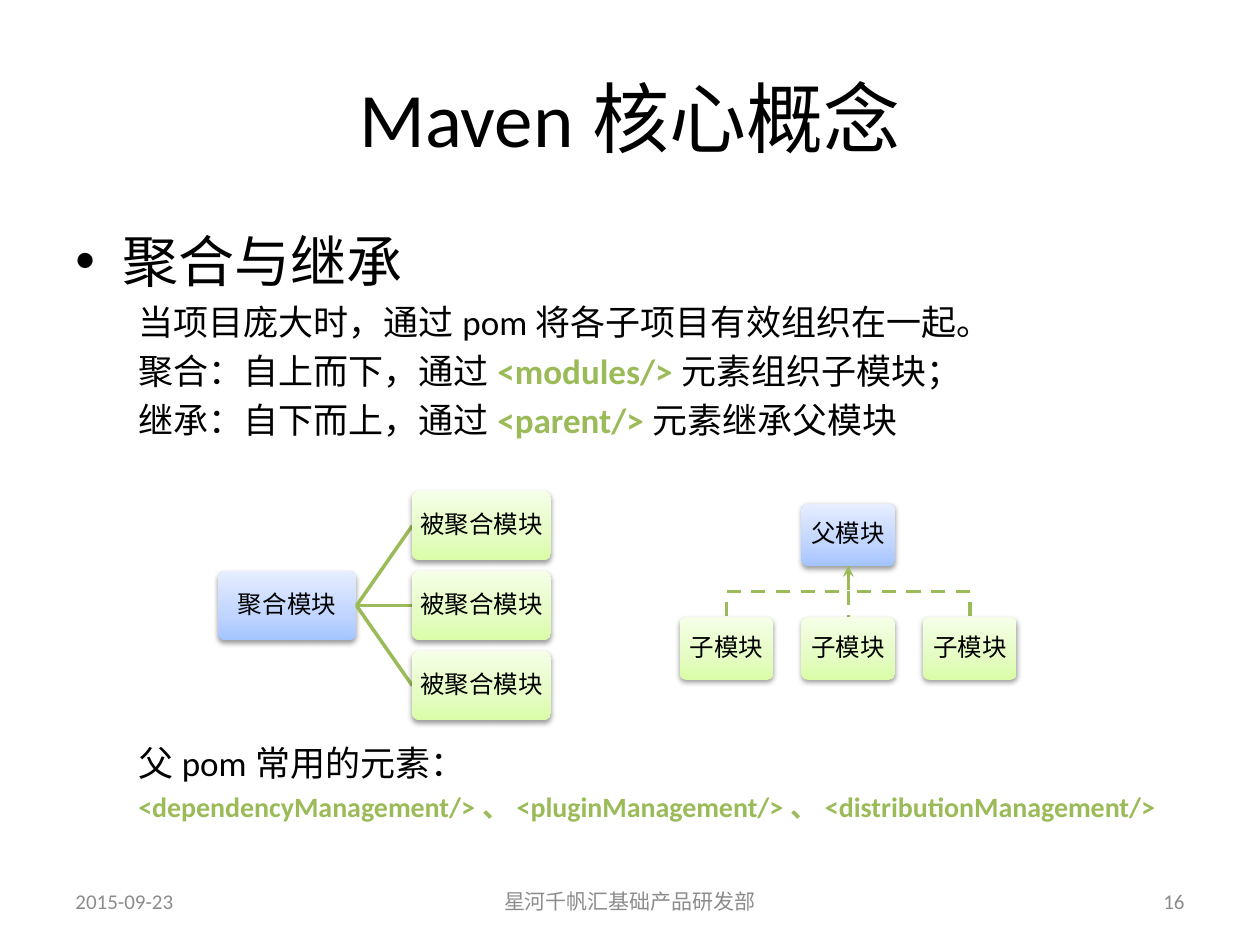
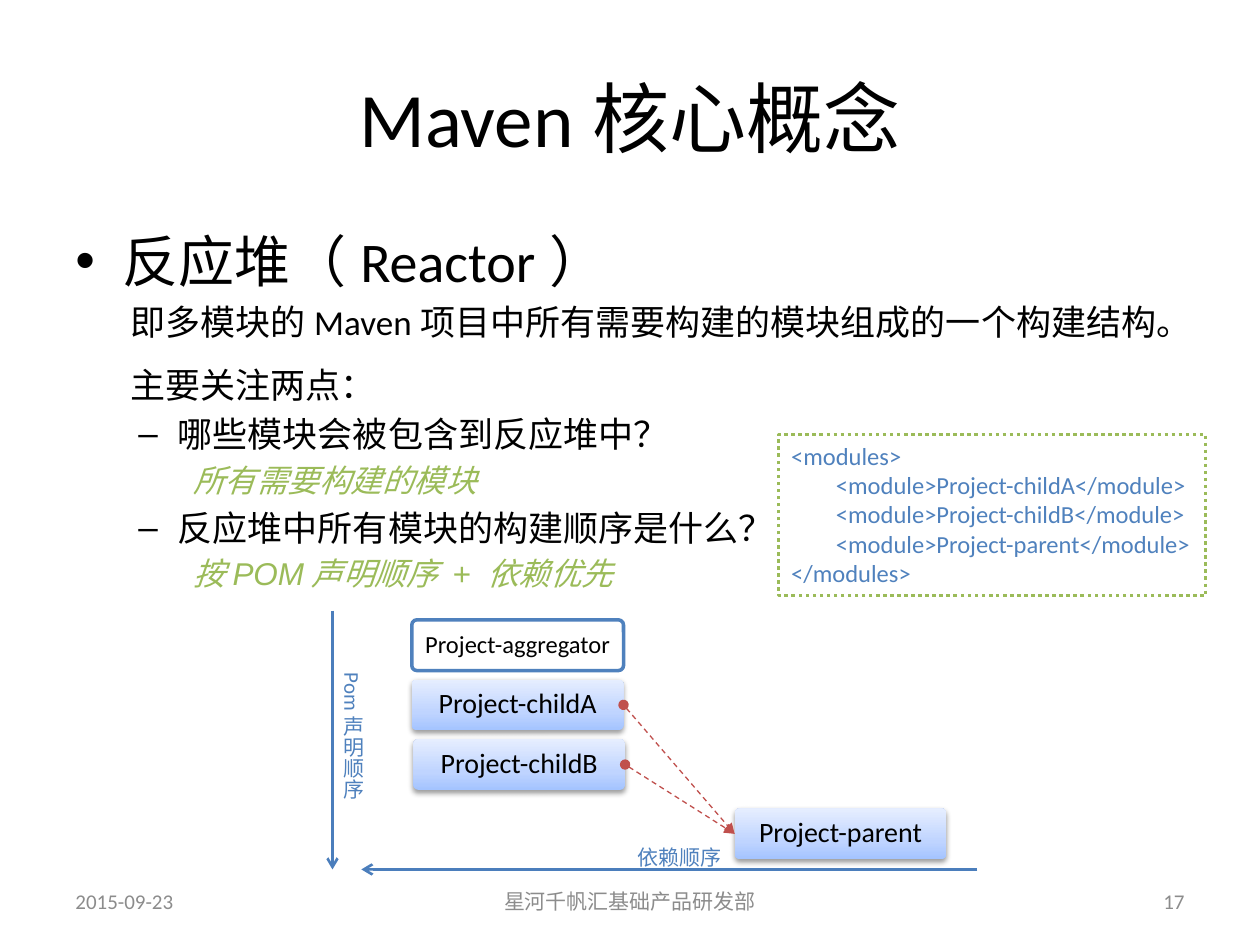
from lxml import etree
from pptx import Presentation
from pptx.dml.color import RGBColor
from pptx.enum.dml import MSO_LINE
from pptx.enum.shapes import MSO_CONNECTOR, MSO_SHAPE
from pptx.enum.text import MSO_ANCHOR, PP_ALIGN
from pptx.oxml.ns import qn
from pptx.util import Pt

LEFT, CENTER, RIGHT = PP_ALIGN.LEFT, PP_ALIGN.CENTER, PP_ALIGN.RIGHT
TOP, MIDDLE = MSO_ANCHOR.TOP, MSO_ANCHOR.MIDDLE
DASH, DOTS = MSO_LINE.DASH, MSO_LINE.ROUND_DOT
SYSTEM_DOTS = MSO_LINE.SQUARE_DOT
STRAIGHT = MSO_CONNECTOR.STRAIGHT
RECTANGLE, ROUNDED = MSO_SHAPE.RECTANGLE, MSO_SHAPE.ROUNDED_RECTANGLE

COLORS = {"text": "000000", "footer": "8C8C8C", "white": "FFFFFF", "green": "9BBB59",
          "blue": "4F81BD", "axis": "4B7EBC", "red": "C0504D"}
GRADIENTS = {"blue": ((0, "A4C4FF"), (35, "BFD4FF"), (100, "E6EEFF")),
             "green": ((0, "DAFDA7"), (35, "E4FCC2"), (100, "F5FFE7"))}

# Content: a paragraph is (spans, format); a span is (text, format).
TITLE = "Maven核心概念"
DATE, DEPARTMENT = "2015-09-23", "星河千帆汇基础产品研发部"
TAG = dict(color="green", bold=True)
HEADING = dict(size=32, margin=27, indent=-27, bullet="•")
DETAIL = dict(size=20, margin=36)
INTRO = dict(size=20, margin=31.5)
QUESTION = dict(size=20, margin=58.5, indent=-22.5, bullet="–", font="Arial")
ANSWER = dict(size=18, margin=67.5, color="green", italic=True, font="Arial")

INHERITANCE_TEXT = [
    ([("聚合与继承", {})], HEADING),
    ([("当项目庞大时，通过pom将各子项目有效组织在一起。", {})], DETAIL),
    ([("聚合：自上而下，通过", {}), ("<modules/>", TAG), ("元素组织子模块；", {})], DETAIL),
    ([("继承：自下而上，通过", {}), ("<parent/>", TAG), ("元素继承父模块", {})], DETAIL),
    ([("父pom常用的元素：", {})], dict(DETAIL, before=172)),
    ([("<dependencyManagement/>、<pluginManagement/>、<distributionManagement/>", TAG)],
     dict(DETAIL, size=16)),
]
REACTOR_TEXT = [
    ([("反应堆（Reactor）", {})], HEADING),
    ([("即多模块的Maven项目中所有需要构建的模块组成的一个构建结构。", {})], INTRO),
    ([("主要关注两点：", {})], dict(INTRO, before=12)),
    ([("哪些模块会被包含到反应堆中？", {})], QUESTION),
    ([("所有需要构建的模块", {})], ANSWER),
    ([("反应堆中所有模块的构建顺序是什么？", {})], QUESTION),
    ([("按POM声明顺序 + 依赖优先", {})], ANSWER),
]
AGGREGATOR, AGGREGATED = "聚合模块", ["被聚合模块"] * 3
PARENT, CHILDREN = "父模块", ["子模块"] * 3
# name, left, top, text size, look
PROJECTS = [
    ("Project-aggregator", 235.3, 354.2, 14, dict(fill="white", line="blue")),
    ("Project-childA", 235.3, 388.3, 16, dict(gradient="blue")),
    ("Project-childB", 236.2, 422.4, 16, dict(gradient="blue")),
    ("Project-parent", 419.8, 462, 16, dict(gradient="blue")),
]
PROJECT_SIZE = (121, 29)
MODULE_LIST = ["Project-childA", "Project-childB", "Project-parent"]


def rgb(name):
    """Return the colour of a palette name."""
    return RGBColor.from_string(COLORS[name])


def add_element(parent, tag, **attributes):
    """Append a drawing element with attributes and return it."""
    child = etree.SubElement(parent, qn(tag))
    for key, value in attributes.items():
        child.set(key, str(value))
    return child


def add_span(para, text, size=20, color="text", font="Calibri", bold=False, italic=False):
    """Add formatted text to a paragraph."""
    span = para.add_run()
    span.text = text
    span.font.size, span.font.name = Pt(size), font
    span.font.bold, span.font.italic = bold, italic
    span.font.color.rgb = rgb(color)


def format_para(para, align=LEFT, before=0, spacing=None, margin=0, indent=0, bullet=None):
    """Set alignment, spacing, indents and bullet of a paragraph."""
    para.alignment, para.space_before = align, Pt(before)
    if spacing:
        para.line_spacing = spacing
    properties = para._p.get_or_add_pPr()
    properties.set("marL", str(Pt(margin)))
    properties.set("indent", str(Pt(indent)))
    if bullet:
        add_element(properties, "a:buFont", typeface="Arial")
        add_element(properties, "a:buChar", char=bullet)


def fill_frame(frame, paras, anchor=TOP, wrap=True, insets=(7.2, 3.6)):
    """Write (spans, format) paragraphs into a text frame."""
    frame.word_wrap, frame.vertical_anchor = wrap, anchor
    frame.margin_left = frame.margin_right = Pt(insets[0])
    frame.margin_top = frame.margin_bottom = Pt(insets[1])
    layout_keys = ("align", "before", "spacing", "margin", "indent", "bullet")
    for index, (spans, style) in enumerate(paras):
        para = frame.add_paragraph() if index else frame.paragraphs[0]
        format_para(para, **{key: style[key] for key in style if key in layout_keys})
        base = {key: style[key] for key in style if key not in layout_keys}
        for text, changes in spans:
            add_span(para, text, **{**base, **changes})


def add_text(page, place, text, anchor=TOP, wrap=True, **style):
    """Add a text box holding one paragraph."""
    box = page.shapes.add_textbox(*map(Pt, place))
    fill_frame(box.text_frame, [([(text, {})], style)], anchor, wrap)
    return box


def add_body(page, paras):
    """Add the main text, each paragraph spaced by a fifth of its size."""
    box = page.shapes.add_textbox(*map(Pt, (36, 126, 648, 370)))
    spaced = [(spans, {"before": style["size"] / 5, **style}) for spans, style in paras]
    fill_frame(box.text_frame, spaced)


def add_block(page, place, paras, kind=ROUNDED, fill=None, gradient=None, line=None,
              dash=None, **frame_style):
    """Add a box with text, a plain or gradient fill and an optional outline."""
    box = page.shapes.add_shape(kind, *map(Pt, place))
    box.shadow.inherit = False
    if kind == ROUNDED:
        box.adjustments[0] = 0.1
    if gradient:
        box.fill.gradient()
        box.fill.gradient_angle = 90
        stops = box.element.spPr.find(".//" + qn("a:gsLst"))
        for stop in list(stops):
            stops.remove(stop)
        for position, color in GRADIENTS[gradient]:
            stop = add_element(stops, "a:gs", pos=position * 1000)
            add_element(stop, "a:srgbClr", val=color)
        effects = box.element.spPr.find(qn("a:effectLst"))
        shadow = add_element(effects, "a:outerShdw", blurRad=Pt(3.1), dist=Pt(1.6),
                             dir=5400000, rotWithShape=0)
        black = add_element(shadow, "a:srgbClr", val=COLORS["text"])
        add_element(black, "a:alpha", val=38000)
    else:
        box.fill.solid()
        box.fill.fore_color.rgb = rgb(fill)
    if line:
        style_line(box, line, 2, dash)
    else:
        box.line.fill.background()
    fill_frame(box.text_frame, paras, **frame_style)


def add_node(page, place, text, size=14, **look):
    """Add a diagram node with a centred label."""
    style = dict(size=size, align=CENTER, spacing=0.9)
    add_block(page, place, [([(text, {})], style)], anchor=MIDDLE, insets=(1, 1), **look)


def style_line(shape, color, width, dash=None, head=None, tail=None):
    """Set colour, width, dash and ends of a line."""
    shape.line.color.rgb, shape.line.width = rgb(color), Pt(width)
    if dash:
        shape.line.dash_style = dash
    outline = shape.element.spPr.find(qn("a:ln"))
    for tag, end in (("a:headEnd", head), ("a:tailEnd", tail)):
        if end:
            add_element(outline, tag, type=end)


def add_path(page, points, **style):
    """Draw a line through points: a connector, or an open outline with bends."""
    if len(points) == 2:
        path = page.shapes.add_connector(STRAIGHT, *[Pt(v) for point in points for v in point])
        add_element(path.element.spPr, "a:effectLst")
    else:
        corners = [(Pt(x), Pt(y)) for x, y in points]
        builder = page.shapes.build_freeform(*corners[0])
        builder.add_line_segments(corners[1:], close=False)
        path = builder.convert_to_shape()
        path.fill.background()
        path.shadow.inherit = False
    style_line(path, **style)


def add_page(deck, number, paras):
    """Add a page with title, body text and footer."""
    page = deck.slides.add_slide(deck.slide_layouts[6])
    add_text(page, (36, 21.6, 648, 90), TITLE, MIDDLE, size=44, align=CENTER)
    add_body(page, paras)
    for left, width, text, align in ((36, 168, DATE, LEFT), (246, 228, DEPARTMENT, CENTER),
                                     (516, 168, str(number), RIGHT)):
        add_text(page, (left, 500.5, width, 28.8), text, MIDDLE,
                 size=12, color="footer", align=align)
    return page


def draw_aggregation(page):
    """Draw the aggregator fanning out to its modules."""
    left, top, width, height, step, fan = 124.5, 326.3, 79.2, 39.6, 45.7, 111.1
    hub = (left + width, top + height / 2)
    add_node(page, (left, top, width, height), AGGREGATOR, gradient="blue")
    for index, name in enumerate(AGGREGATED):
        row = top + (index - 1) * step
        add_path(page, [hub, (left + fan, row + height / 2)], color="green", width=2)
        add_node(page, (left + fan, row, width, height), name, gradient="green")


def draw_inheritance(page):
    """Draw the children pointing up to their parent."""
    left, top, width, height, step, drop = 458, 287.8, 53.5, 35.7, 69.5, 65
    middle, bottom, child_top = left + width / 2, top + height, top + drop
    bend = (bottom + child_top) / 2
    add_node(page, (left, top, width, height), PARENT, gradient="blue")
    for index, name in enumerate(CHILDREN):
        shift = (index - 1) * step
        bends = [(middle, bend), (middle + shift, bend)] if shift else []
        add_path(page, [(middle, bottom), *bends, (middle + shift, child_top)],
                 color="green", width=2, dash=DASH, head="stealth" if shift else None)
        add_node(page, (left + shift, child_top, width, height), name, gradient="green")


def draw_reactor(page):
    """Draw the build order with its axes, projects and dependencies."""
    for points in ([(190, 349), (190, 496.8)], [(558.5, 496.8), (206.5, 496.8)]):
        add_path(page, points, color="axis", width=1.5, tail="arrow")
    width, height = PROJECT_SIZE
    for name, left, top, size, look in PROJECTS:
        add_node(page, (left, top, width, height), name, size, **look)
    target = (PROJECTS[3][1], PROJECTS[3][2] + height / 2)
    for name, left, top, size, look in PROJECTS[1:3]:
        add_path(page, [(left + width, top + height / 2), target], color="red",
                 width=0.75, dash=DASH, head="oval", tail="triangle")
    label = dict(wrap=False, size=12, color="blue")
    declared = add_text(page, (183.6, 377.3, 28.8, 77.8), "Pom声明顺序", **label)
    declared.element.txBody.bodyPr.set("vert", "eaVert")
    add_text(page, (357, 478.8, 63.4, 21.6), "依赖顺序", **label)


def draw_module_list(page):
    """Add the dotted box with the module declarations."""
    style = dict(size=14, color="blue")
    lines = [("<modules>", 0), *((f"<module>{name}</module>", 25.6) for name in MODULE_LIST),
             ("</modules>", 0)]
    paras = [([(text, {})], dict(style, margin=margin)) for text, margin in lines]
    add_block(page, (445, 248.2, 244, 92.2), paras, kind=RECTANGLE, fill="white",
              line="green", dash=DOTS)


deck = Presentation()
deck.slide_width, deck.slide_height = Pt(720), Pt(540)

inheritance_page = add_page(deck, 16, INHERITANCE_TEXT)
draw_aggregation(inheritance_page)
draw_inheritance(inheritance_page)

reactor_page = add_page(deck, 17, REACTOR_TEXT)
draw_reactor(reactor_page)
draw_module_list(reactor_page)

deck.save("out.pptx")
